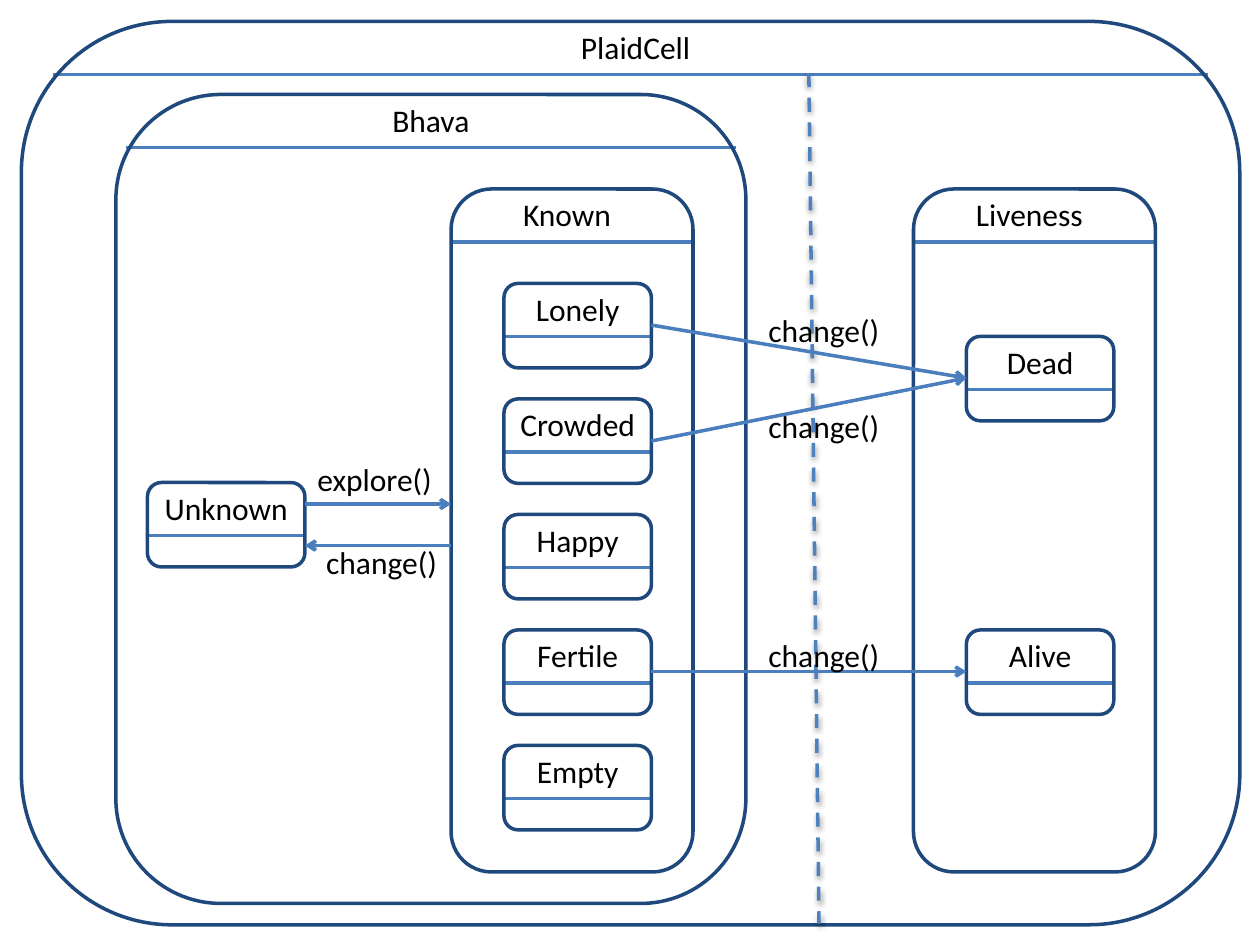
from lxml import etree
from pptx import Presentation
from pptx.dml.color import RGBColor
from pptx.enum.dml import MSO_LINE
from pptx.enum.shapes import MSO_CONNECTOR, MSO_SHAPE
from pptx.enum.text import MSO_AUTO_SIZE, PP_ALIGN
from pptx.oxml.ns import qn
from pptx.util import Cm, Pt

ROUNDED = MSO_SHAPE.ROUNDED_RECTANGLE
STRAIGHT = MSO_CONNECTOR.STRAIGHT
DASH = MSO_LINE.DASH
GROW = MSO_AUTO_SIZE.SHAPE_TO_FIT_TEXT
CENTER, LEFT = PP_ALIGN.CENTER, PP_ALIGN.LEFT
BORDER, RULE, DIVIDER, INK = "1F497D", "4B7EBC", "4F81BD", "000000"
FONT = {"name": "Calibri", "size": Pt(18)}
HEADER = 0.42
STATE_W, STATE_H = 1.17, 0.67


def rgb(value):
    return RGBColor.from_string(value)


def inches(*values):
    return [Cm(v * 2.54) for v in values]


class StateChart:
    """Draws states, transitions and labels on one slide, measured in inches."""

    def __init__(self, slide):
        self.shapes = slide.shapes

    def stroke(self, line, color):
        line.color.rgb = rgb(color)
        line.width = Pt(2)

    def label(self, text, x, y, w, h=0.4, align=CENTER, wrap=True):
        tf = self.shapes.add_textbox(*inches(x, y, w, h)).text_frame
        tf.word_wrap = wrap
        tf.auto_size = GROW
        p = tf.paragraphs[0]
        p.alignment = align
        r = p.add_run()
        r.text = text
        for name, value in FONT.items():
            setattr(r.font, name, value)
        r.font.color.rgb = rgb(INK)

    def line(self, x1, y1, x2, y2, color=RULE, arrow=False, dash=None, shadow=False):
        c = self.shapes.add_connector(STRAIGHT, *inches(x1, y1, x2, y2))
        self.stroke(c.line, color)
        if dash:
            c.line.dash_style = dash
        if arrow:
            etree.SubElement(c.line._get_or_add_ln(), qn("a:tailEnd"), type="arrow")
        effects = etree.SubElement(c._element.spPr, qn("a:effectLst"))
        if shadow:
            outer = etree.SubElement(effects, qn("a:outerShdw"), blurRad=str(Pt(3.1)),
                                     dist=str(Pt(1.6)), dir="5400000", rotWithShape="0")
            black = etree.SubElement(outer, qn("a:srgbClr"), val=INK)
            etree.SubElement(black, qn("a:alpha"), val="38000")

    def state(self, name, x, y, w=STATE_W, h=STATE_H, inset=0, shift=0):
        self.line(x + inset, y + HEADER, x + w - inset, y + HEADER)
        self.label(name, x + shift, y, w)
        sp = self.shapes.add_shape(ROUNDED, *inches(x, y, w, h))
        sp.shadow.inherit = False
        sp.fill.background()
        self.stroke(sp.line, BORDER)

    def transition(self, start, end):
        self.line(*start, *end, arrow=True)

    def event(self, text, x, y, w=1.09):
        self.label(text, x, y, w, align=LEFT, wrap=False)


prs = Presentation()
prs.slide_width, prs.slide_height = inches(10, 7.5)
chart = StateChart(prs.slides.add_slide(prs.slide_layouts[6]))

chart.state("PlaidCell", 0.17, 0.17, 9.67, 7.17, inset=0.25, shift=0.04)
chart.state("Bhava", 0.92, 0.75, 5, 6.42, inset=0.08)
chart.state("Known", 3.58, 1.5, 1.92, 5.42, shift=-0.04)
chart.state("Liveness", 7.25, 1.5, 1.92, 5.42, shift=-0.04)

for i, name in enumerate(["Lonely", "Crowded", "Happy", "Fertile", "Empty"]):
    chart.state(name, 4, 2.25 + i * 11 / 12)
chart.state("Unknown", 1.17, 3.83, w=1.25)
chart.state("Dead", 7.67, 2.67)
chart.state("Alive", 7.67, 5)

chart.line(6.42, 0.58, 6.5, 7.33, color=DIVIDER, dash=DASH, shadow=True)

chart.transition((2.42, 4), (3.58, 4))
chart.transition((3.58, 4.33), (2.42, 4.33))
for y_from, y_to in [(2.58, 3), (3.5, 3), (5.33, 5.33)]:
    chart.transition((5.17, y_from), (7.67, y_to))

chart.event("explore()", 2.42, 3.6, w=1.12)
chart.event("change()", 2.49, 4.26)
for y in (2.42, 3.18, 5):
    chart.event("change()", 6, y)

prs.save("out.pptx")
